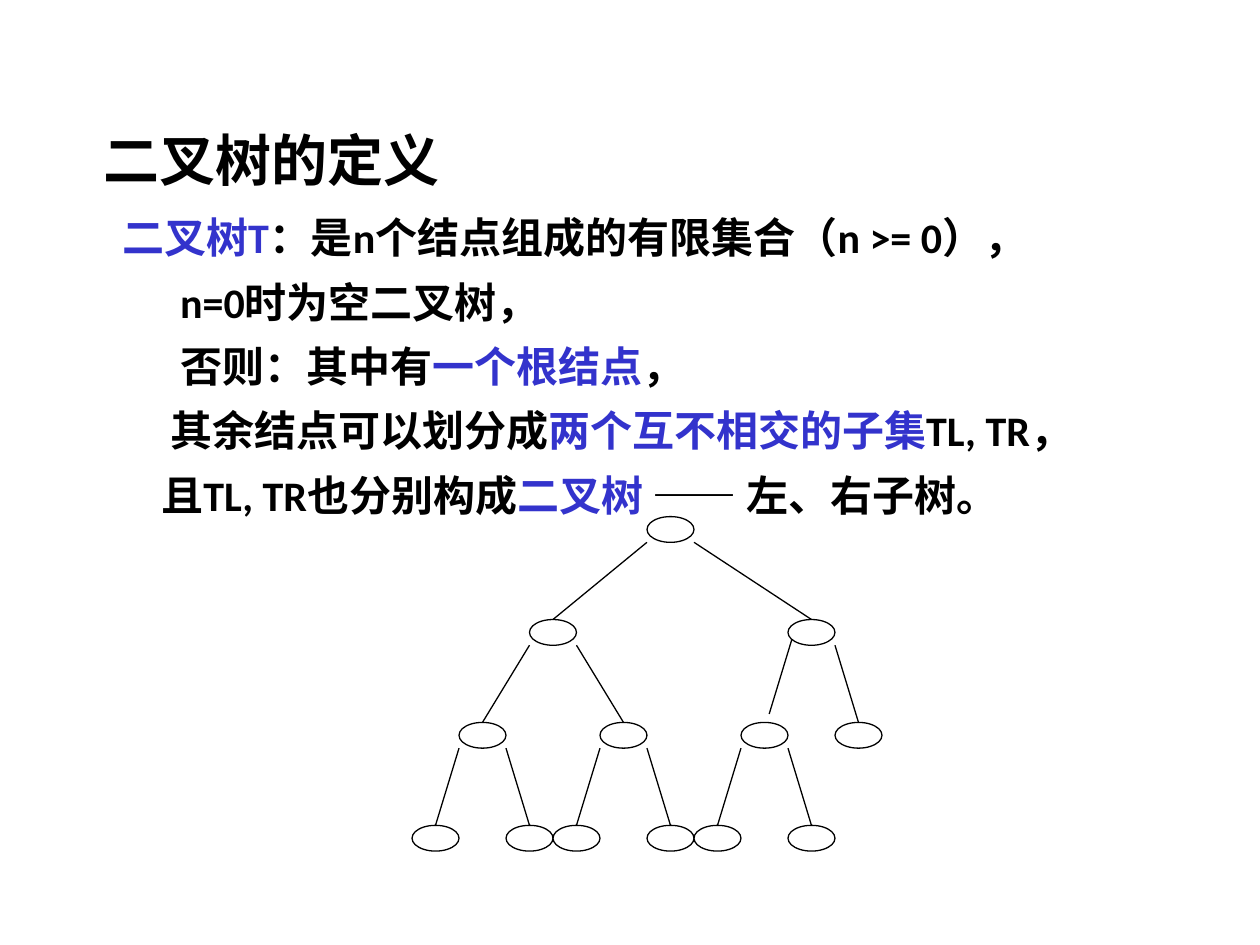
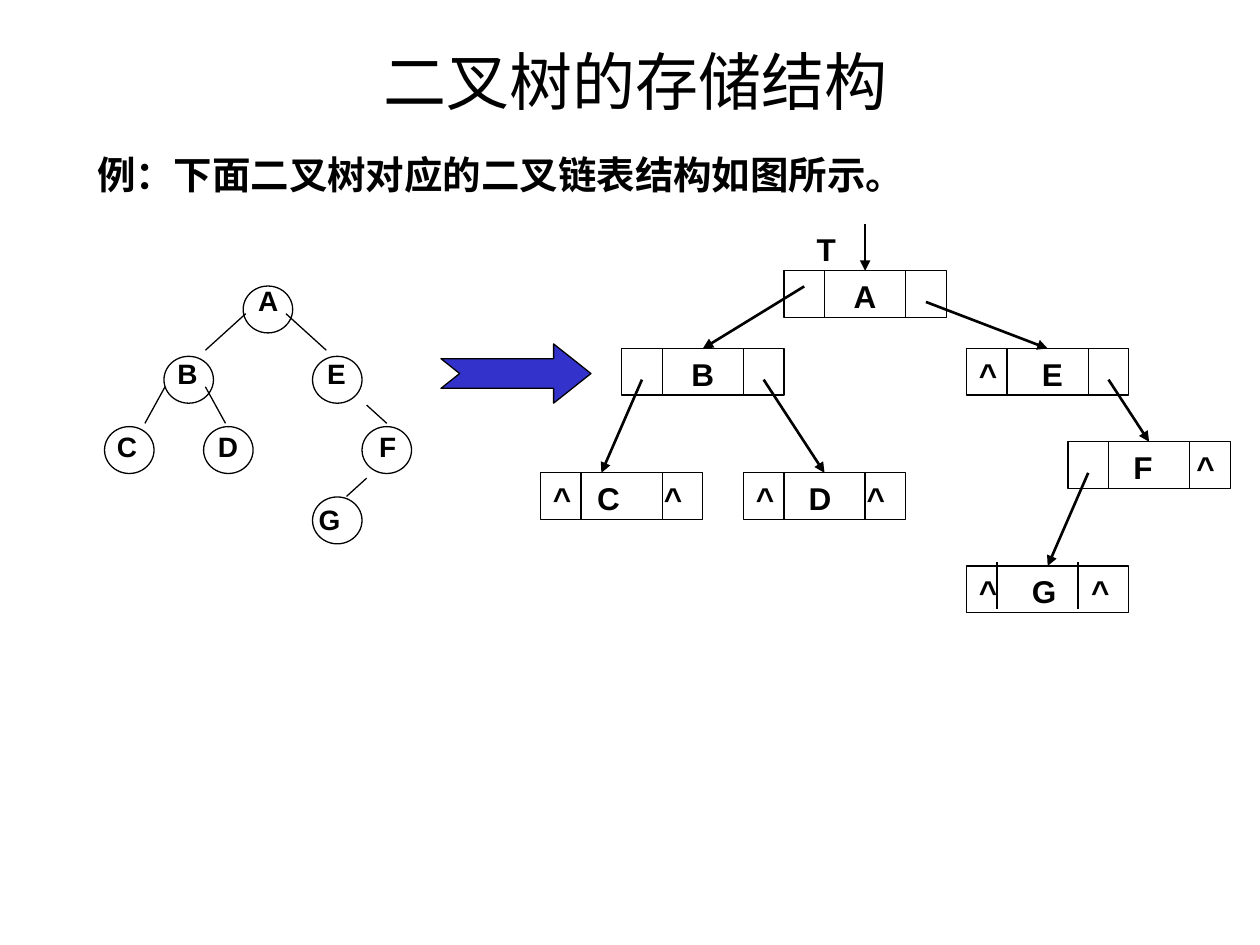
from dataclasses import dataclass

from lxml.etree import SubElement
from pptx import Presentation
from pptx.dml.color import RGBColor as Rgb
from pptx.enum.lang import MSO_LANGUAGE_ID as Lang
from pptx.enum.shapes import MSO_CONNECTOR as Connector, MSO_SHAPE as Preset
from pptx.enum.text import MSO_ANCHOR as Anchor, MSO_AUTO_SIZE as Fit, PP_ALIGN as Align
from pptx.oxml.ns import qn
from pptx.util import Inches, Pt


@dataclass(frozen=True)
class Theme:
    """Colours, fonts, type sizes and line widths of the deck."""
    ink: str = "000000"
    accent: str = "3333CC"
    paper: str = "FFFFFF"
    prose: str = "Calibri"
    diagram: str = "Arial"
    heading: int = 36
    subheading: int = 32
    text: int = 24
    example: int = 22
    cell: int = 18
    letter: int = 16
    thin: float = 0.75
    thick: float = 1.5
    leading: float = 1.2
    gap: int = 8


@dataclass(frozen=True)
class Grid:
    """A grid with its corner and cell size in inches."""
    left: float
    top: float
    column: float
    row: float

    def point(self, column, row):
        """Return the position of a grid point."""
        return Inches(self.left + column * self.column), Inches(self.top + row * self.row)

    def box(self, column, row, columns, rows):
        """Return left, top, width and height of a block of cells."""
        return (*self.point(column, row), Inches(columns * self.column), Inches(rows * self.row))


THEME = Theme()
PAGE = Grid(0, 0, 0.1, 0.1)


def assign(target, values):
    """Set each attribute named in values."""
    for name, value in values.items():
        setattr(target, name, value)


def place(holder, box):
    """Move a placeholder into a box."""
    assign(holder, dict(zip(("left", "top", "width", "height"), box)))


def prepare(frame, anchor=Anchor.TOP):
    """Give a text frame fixed size, wrapping and an anchor."""
    assign(frame, {"word_wrap": True, "auto_size": Fit.NONE, "vertical_anchor": anchor})


def write(paragraph, text, size, face, bold=True, color=THEME.ink):
    """Append one formatted run to a paragraph."""
    run = paragraph.add_run()
    run.text = text
    assign(run.font, {"size": Pt(size), "name": face, "bold": bold,
                      "language_id": Lang.SIMPLIFIED_CHINESE})
    run.font.color.rgb = Rgb.from_string(color)


def add_heading(slide, text, box, size, bold, align, anchor):
    """Fill the title placeholder."""
    heading = slide.shapes.title
    place(heading, box)
    prepare(heading.text_frame, anchor)
    paragraph = heading.text_frame.paragraphs[0]
    paragraph.alignment = align
    write(paragraph, text, size, THEME.prose, bold)


def add_body(slide, lines, box, size):
    """Fill the body placeholder with indented lines of coloured runs."""
    body = slide.placeholders[1]
    place(body, box)
    frame = body.text_frame
    prepare(frame)
    for number, (indent, runs) in enumerate(lines):
        paragraph = frame.add_paragraph() if number else frame.paragraphs[0]
        assign(paragraph, {"line_spacing": Pt(size * THEME.leading),
                           "space_before": Pt(0), "space_after": Pt(THEME.gap)})
        properties = paragraph._p.get_or_add_pPr()
        properties.set("marL", str(Inches(indent)))
        properties.set("indent", "0")
        SubElement(properties, qn("a:buNone"))
        for text, color in runs:
            write(paragraph, text, size, THEME.prose, color=color)


def add_figure(canvas, preset, box, fill=None, outlined=True):
    """Draw a preset shape without shadow."""
    figure = canvas.add_shape(preset, *box)
    figure.shadow.inherit = False
    if fill:
        figure.fill.solid()
        figure.fill.fore_color.rgb = Rgb.from_string(fill)
    else:
        figure.fill.background()
    if outlined:
        figure.line.color.rgb = Rgb.from_string(THEME.ink)
        figure.line.width = Pt(THEME.thin)
    else:
        figure.line.fill.background()
    return figure


def add_line(canvas, start, end, width=THEME.thin, arrow=False):
    """Draw a straight line, with an arrowhead at its end if asked."""
    line = canvas.add_connector(Connector.STRAIGHT, *start, *end)
    line.line.color.rgb = Rgb.from_string(THEME.ink)
    line.line.width = Pt(width)
    properties = line.element.spPr
    if arrow:
        SubElement(properties.find(qn("a:ln")), qn("a:tailEnd"), type="triangle")
    SubElement(properties, qn("a:effectLst"))


def add_label(figure, text, size, align=Align.LEFT, tabs=()):
    """Write diagram text into a shape, with tab stops in inches."""
    prepare(figure.text_frame)
    paragraph = figure.text_frame.paragraphs[0]
    paragraph.alignment = align
    if tabs:
        stops = SubElement(paragraph._p.get_or_add_pPr(), qn("a:tabLst"))
        for stop in tabs:
            SubElement(stops, qn("a:tab"), pos=str(Inches(stop)), algn="l")
    write(paragraph, text, size, THEME.diagram)


def draw_plain_tree(slide, grid):
    """Draw the four-level tree of unlabelled nodes."""
    canvas = slide.shapes.add_group_shape().shapes
    levels = [[10], [5, 16], [2, 8, 14, 18], [0, 4, 6, 10, 12, 16]]
    shifted = {(16, 14): (0.2, -0.33)}
    for level, (parents, children) in enumerate(zip(levels, levels[1:])):
        for number, child in enumerate(children):
            parent = parents[number // 2]
            right, down = shifted.get((parent, child), (0, 0)) if level == 1 else (0, 0)
            column = parent + 2 * (number % 2)
            add_line(canvas, grid.point(column + right, 4 * level + 1 + down),
                     grid.point(child + 1 + right, 4 * level + 4 + down))
    for level, nodes in enumerate(levels):
        for column in nodes:
            add_figure(canvas, Preset.OVAL, grid.box(column, 4 * level, 2, 1), THEME.paper)


def draw_lettered_tree(slide, circles, letters):
    """Draw the example tree on a grid of circles and a grid of letters."""
    canvas = slide.shapes.add_group_shape().shapes
    nodes = [("A", 2.8, 7, 0), ("B", 1.2, 3, 1), ("C", 0, 0, 2), ("D", 2, 5, 2),
             ("E", 4.2, 10, 1), ("F", 5.2, 13, 2), ("G", 4.2, 10, 3)]
    branches = [(7, 1, 5, 2), (9, 1, 11, 2), (3, 3, 2, 4), (5, 3, 6, 4),
                (13, 3.5, 14, 4), (13, 5.5, 12, 6)]
    for letter, circle, column, level in nodes:
        label = canvas.add_textbox(*letters.box(column, 2 * level, 3, 1.5))
        add_label(label, letter, THEME.letter, Align.CENTER if letter == "E" else Align.LEFT)
        add_figure(canvas, Preset.OVAL, circles.box(circle, 3 * level, 1, 2))
    for x1, y1, x2, y2 in branches:
        add_line(canvas, letters.point(x1, y1), letters.point(x2, y2))


def draw_linked_list(slide, grid):
    """Draw the records of the linked list and the pointers between them."""
    canvas = slide.shapes.add_group_shape().shapes
    records = [("A", 12, 3, ()), ("B", 4, 8, ()), ("^\tE", 21, 8, (0.5,)),
               ("^\tC\t^", 0, 16, (0.35, 0.88)), ("^\tD\t^", 10, 16, (0.42, 0.88)),
               ("\tF\t^", 26, 14, (0.42, 0.92)), ("^\tG\t^", 21, 22, (0.42, 0.89))]
    pointers = [(13, 4, 8, 8), (19, 5, 25, 8), (5, 10, 3, 16), (11, 10, 14, 16),
                (28, 10, 30, 14), (27, 16, 25, 22)]
    for text, column, row, tabs in records:
        record = add_figure(canvas, Preset.RECTANGLE, grid.box(column, row, 8, 3))
        add_label(record, text, THEME.cell, Align.LEFT if tabs else Align.CENTER, tabs)
        left, up = (0.5, 0.25) if "G" in text else (0, 0)
        for divider in (column + 2 - left, column + 6 - left):
            add_line(canvas, grid.point(divider, row - up), grid.point(divider, row + 3 - up))
    for x1, y1, x2, y2 in pointers:
        add_line(canvas, grid.point(x1, y1), grid.point(x2, y2), THEME.thick, arrow=True)
    add_line(canvas, grid.point(16, 0), grid.point(16, 3), arrow=True)
    root = add_figure(canvas, Preset.RECTANGLE, grid.box(13, 0, 2.4, 2.5), THEME.paper, False)
    add_label(root, "T", THEME.cell)


def draw_transition(slide, box):
    """Draw the notched arrow from the tree to the list."""
    arrow = add_figure(slide.shapes, Preset.NOTCHED_RIGHT_ARROW, box, THEME.accent)
    arrow.adjustments[0], arrow.adjustments[1] = 0.5, 0.63


def build_definition(slide):
    """Build the slide that defines a binary tree."""
    ink, accent = THEME.ink, THEME.accent
    add_heading(slide, "二叉树的定义", PAGE.box(7.2, 9.6, 87.4, 6), THEME.subheading,
                True, Align.LEFT, Anchor.MIDDLE)
    lines = [
        (0.15, [("二叉树T", accent), ("：是n个结点组成的有限集合（n >= 0），", ink)]),
        (0.61, [("n=0时为空二叉树，", ink)]),
        (0.61, [("否则：其中有", ink), ("一个根结点", accent), ("，", ink)]),
        (0.53, [("其余结点可以划分成", ink), ("两个互不相交的子集", accent), ("TL, TR，", ink)]),
        (0.46, [("且TL, TR也分别构成", ink), ("二叉树 ", accent), ("—— 左、右子树。", ink)]),
    ]
    add_body(slide, lines, PAGE.box(7.2, 16.3, 87.4, 49.8), THEME.text)
    draw_plain_tree(slide, Grid(3.27, 4.1, 0.1865, 0.2042))


def build_storage(slide):
    """Build the slide that shows how a binary tree is stored."""
    add_heading(slide, "二叉树的存储结构", PAGE.box(6.7, 0, 87.5, 9.9), THEME.heading,
                False, Align.CENTER, Anchor.BOTTOM)
    add_body(slide, [(0, [("例：下面二叉树对应的二叉链表结构如图所示。", THEME.ink)])],
             PAGE.box(6.7, 11.5, 87.4, 56.7), THEME.example)
    draw_transition(slide, PAGE.box(35, 27.3, 11.9, 4.7))
    draw_lettered_tree(slide, Grid(0.83, 2.27, 0.393, 0.186), Grid(0.83, 2.2, 0.16, 0.29))
    draw_linked_list(slide, Grid(4.29, 1.78, 0.161, 0.1233))


def main():
    """Build and save the deck."""
    deck = Presentation()
    deck.slide_width, deck.slide_height = Inches(10), Inches(7.5)
    for build in (build_definition, build_storage):
        build(deck.slides.add_slide(deck.slide_layouts[1]))
    deck.save("out.pptx")


if __name__ == "__main__":
    main()
